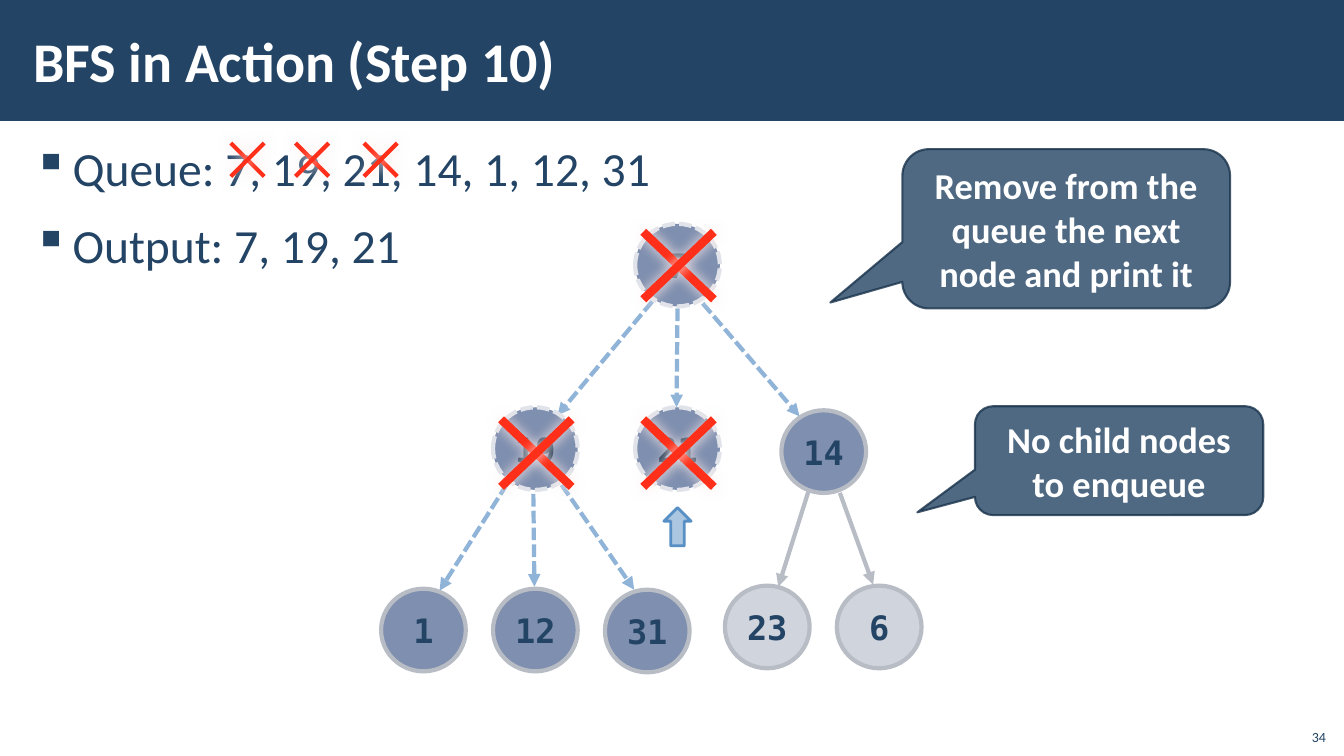
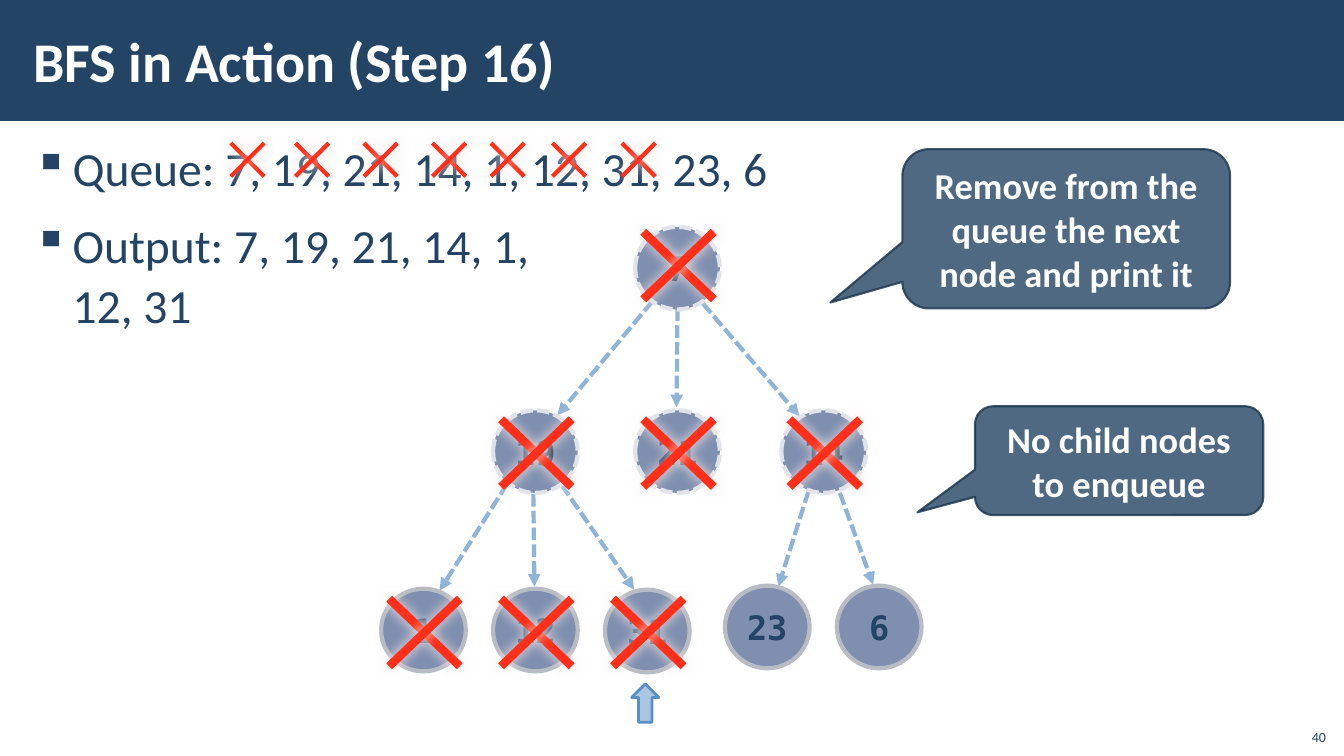
from dataclasses import dataclass
from typing import NamedTuple, Optional

import pptx
import pptx.dml.color
import pptx.enum.dml
import pptx.enum.shapes
import pptx.enum.text
import pptx.oxml.ns
import pptx.util
from lxml import etree

Inches = pptx.util.Inches
Pt = pptx.util.Pt
Shape = pptx.enum.shapes.MSO_SHAPE
Align = pptx.enum.text.PP_ALIGN
Anchor = pptx.enum.text.MSO_ANCHOR
Dash = pptx.enum.dml.MSO_LINE
qn = pptx.oxml.ns.qn

COLORS = {
    "navy": "234465", "ink": "1A334C", "white": "FFFFFF",
    "queued": "002060", "open": "A3ABBC", "visited": "7F8FAF",
    "ring": "B8BCC4", "visited_ring": "E0E3E9", "trail": "90B4D8",
    "pointer": "588FC5", "cross": "FF2F19", "halo": "FFEDEB",
}
BODY_FONT, NODE_FONT = "Calibri", "DejaVu Sans Mono"
NODE_W, NODE_H = 0.84, 0.82
NODE_CROSS = (0.7, 0.67)
QUEUE_CROSS = (0.33, 0.33)
QUEUE_CROSS_TOP = 1.42
QUEUE_CROSS_LEFTS = (2.29, 2.93, 3.61, 4.29, 4.87, 5.48, 6.17)


class Node(NamedTuple):
    label: str
    left: float
    top: float
    cross_top: float


class Edge(NamedTuple):
    parent: str
    x1: float
    y1: float
    x2: float
    y2: float


class NodeStyle(NamedTuple):
    fill: str
    alpha: Optional[int]
    ring: str
    text: str
    dash: Optional[int] = None


class Callout(NamedTuple):
    text: str
    box: tuple[float, float, float, float]
    tip: tuple[float, float]


@dataclass(frozen=True)
class Step:
    number: int
    page: str
    queued: int
    printed: int
    output: str
    pointer: tuple[float, float]
    visited_lift: float


# Tree nodes in breadth-first order
NODES = (
    Node("7", 6.3, 2.25, 2.3),
    Node("19", 4.89, 4.07, 4.16),
    Node("21", 6.3, 4.07, 4.16),
    Node("14", 7.75, 4.07, 4.16),
    Node("1", 3.78, 5.84, 5.94),
    Node("12", 4.89, 5.84, 5.94),
    Node("31", 6, 5.85, 5.94),
    Node("23", 7.19, 5.81, 5.91),
    Node("6", 8.3, 5.81, 5.91),
)
INNER_COUNT = 4
EDGES = (
    Edge("7", 6.47, 2.99, 5.53, 4.12),
    Edge("7", 6.72, 3.06, 6.71, 4.04),
    Edge("7", 6.97, 3.01, 7.93, 4.13),
    Edge("19", 5.03, 4.8, 4.36, 5.86),
    Edge("19", 5.29, 4.9, 5.3, 5.82),
    Edge("19", 5.57, 4.81, 6.29, 5.85),
    Edge("14", 8.02, 4.87, 7.72, 5.82),
    Edge("14", 8.33, 4.89, 8.66, 5.8),
)
VISITED = NodeStyle("visited", None, "visited_ring", "ink", Dash.SQUARE_DOT)
QUEUED = NodeStyle("queued", 50, "ring", "navy")
OPEN = NodeStyle("open", 50, "ring", "navy")

CALLOUTS = (
    Callout("Remove from the queue the next node and print it",
            (8.95, 1.48, 3.25, 1.58), (-0.72, 0.463)),
    Callout("No child nodes to enqueue", (9.67, 4.03, 2.86, 1.08), (-0.7, 0.475)),
)
STEPS = (
    Step(10, "34", 7, 3, "7, 19, 21", (6.53, 5.09), 0.03),
    Step(16, "40", 9, 7, "7, 19, 21, 14, 1,\n12, 31", (6.21, 6.84), 0),
)


def rgb(name: str) -> pptx.dml.color.RGBColor:
    return pptx.dml.color.RGBColor.from_string(COLORS[name])


def set_alpha(fill, percent: int) -> None:
    """Make a solid colour see-through."""
    for color in fill.iter(qn("a:srgbClr")):
        etree.SubElement(color, qn("a:alpha"), val=str(percent * 1000))


def set_font(paragraph, size: float, color: str, bold: bool = False,
             name: str = BODY_FONT) -> None:
    font = paragraph.font
    font.name, font.size, font.bold = name, Pt(size), bold
    font.color.rgb = rgb(color)


def set_insets(frame) -> None:
    frame.margin_left = frame.margin_right = Inches(0.12)
    frame.margin_top = frame.margin_bottom = Inches(0.04)


def place(shape, left: float, top: float, width: float, height: float) -> None:
    shape.left, shape.top = Inches(left), Inches(top)
    shape.width, shape.height = Inches(width), Inches(height)


def add_filled(slide, kind, box: tuple, fill: str, line: Optional[str] = None,
               line_width: float = 0, alpha: Optional[int] = None):
    shape = slide.shapes.add_shape(kind, *map(Inches, box))
    shape.shadow.inherit = False
    shape.fill.solid()
    shape.fill.fore_color.rgb = rgb(fill)
    if alpha is not None:
        set_alpha(shape.element.spPr.find(qn("a:solidFill")), alpha)
    if line is None:
        shape.line.fill.background()
    else:
        shape.line.color.rgb = rgb(line)
        shape.line.width = Pt(line_width)
    return shape


def add_label(shape, text: str, size: float, color: str, font: str = BODY_FONT) -> None:
    frame = shape.text_frame
    frame.vertical_anchor = Anchor.MIDDLE
    paragraph = frame.paragraphs[0]
    paragraph.text = text
    paragraph.alignment = Align.CENTER
    set_font(paragraph, size, color, True, font)


def add_line(slide, ends: tuple, color: str, width: float):
    """Draw a straight line; the returned effect list is empty."""
    line = slide.shapes.add_connector(
        pptx.enum.shapes.MSO_CONNECTOR.STRAIGHT, *map(Inches, ends))
    line.line.color.rgb = rgb(color)
    line.line.width = Pt(width)
    effects = etree.SubElement(line.element.spPr, qn("a:effectLst"))
    return line, effects


# Tree parts
def draw_edge(slide, edge: Edge, walked: bool) -> None:
    arrow, _ = add_line(slide, edge[1:], "trail" if walked else "ring", 3)
    if walked:
        arrow.line.dash_style = Dash.SQUARE_DOT
    etree.SubElement(arrow.element.spPr.find(qn("a:ln")), qn("a:tailEnd"), type="triangle")


def draw_node(slide, node: Node, style: NodeStyle, lift: float) -> None:
    circle = add_filled(slide, Shape.OVAL, (node.left, node.top - lift, NODE_W, NODE_H),
                        style.fill, style.ring, 3, style.alpha)
    if style.dash is not None:
        circle.line.dash_style = style.dash
    add_label(circle, node.label, 24, style.text, NODE_FONT)
    circle.text_frame.word_wrap = False


def draw_cross(slide, left: float, top: float, size: tuple[float, float],
               width: float) -> None:
    right, bottom = left + size[0], top + size[1]
    for ends in ((left, top, right, bottom), (right, top, left, bottom)):
        _, effects = add_line(slide, ends, "cross", width)
        halo = etree.SubElement(effects, qn("a:outerShdw"), blurRad=str(Pt(10)),
                                dist="0", dir="5400000", rotWithShape="0")
        etree.SubElement(halo, qn("a:srgbClr"), val=COLORS["halo"])


def draw_tree(slide, step: Step) -> None:
    visited = min(step.printed, INNER_COUNT)
    walked = {node.label for node in NODES[:visited]}
    for edge in EDGES:
        draw_edge(slide, edge, edge.parent in walked)
    for index, node in enumerate(NODES):
        if index < visited:
            draw_node(slide, node, VISITED, step.visited_lift)
        else:
            draw_node(slide, node, QUEUED if index < step.queued else OPEN, 0)
    for node in NODES[:step.printed]:
        draw_cross(slide, node.left + 0.08, node.cross_top, NODE_CROSS, 6)
    for left in QUEUE_CROSS_LEFTS[:step.printed]:
        draw_cross(slide, left, QUEUE_CROSS_TOP, QUEUE_CROSS, 3)
    pointer = add_filled(slide, Shape.RIGHT_ARROW, (*step.pointer, 0.38, 0.27),
                         "pointer", "pointer", 2, 50)
    pointer.rotation = 270


# Text parts
def draw_title(slide, text: str) -> None:
    title = slide.shapes.title
    place(title, 0.21, 0.11, 10.63, 0.97)
    frame = title.text_frame
    frame.text = text
    frame.vertical_anchor = Anchor.MIDDLE
    set_insets(frame)
    frame.paragraphs[0].alignment = Align.LEFT
    set_font(frame.paragraphs[0], 40, "white", True)


def draw_state(slide, lines: tuple[str, ...]) -> None:
    frame = slide.shapes.add_textbox(*map(Inches, (0.21, 1.31, 12.92, 6.05))).text_frame
    frame.word_wrap = True
    set_insets(frame)
    for index, text in enumerate(lines):
        paragraph = frame.add_paragraph() if index else frame.paragraphs[0]
        paragraph.text = text
        paragraph.line_spacing = 1.05
        paragraph.space_before = paragraph.space_after = Pt(6)
        set_font(paragraph, 34, "navy")
        properties = paragraph._p.get_or_add_pPr()
        properties.set("marL", str(Inches(0.39)))
        properties.set("indent", str(-Inches(0.39)))
        bullet = etree.Element(qn("a:buChar"), char="▪")
        properties.find(qn("a:defRPr")).addprevious(bullet)


def draw_page_number(slide, number: str) -> None:
    frame = slide.shapes.add_textbox(*map(Inches, (12.85, 7.12, 0.4, 0.32))).text_frame
    frame.word_wrap = True
    frame.vertical_anchor = Anchor.BOTTOM
    frame.text = number
    frame.paragraphs[0].alignment = Align.RIGHT
    set_font(frame.paragraphs[0], 10, "navy")


def draw_callout(slide, callout: Callout) -> None:
    bubble = add_filled(slide, Shape.ROUNDED_RECTANGULAR_CALLOUT, callout.box,
                        "navy", "ink", 1.5, 80)
    set_alpha(bubble.element.spPr.find(qn("a:ln")), 80)
    bubble.adjustments[0], bubble.adjustments[1] = callout.tip
    bubble.text_frame.word_wrap = True
    add_label(bubble, callout.text, 26, "white")


def draw_step(slide, step: Step) -> None:
    queue = ", ".join(node.label for node in NODES[:step.queued])
    draw_title(slide, f"BFS in Action (Step {step.number})")
    draw_page_number(slide, step.page)
    draw_state(slide, (f"Queue: {queue}", f"Output: {step.output}"))
    draw_tree(slide, step)
    for callout in CALLOUTS:
        draw_callout(slide, callout)


def main() -> None:
    deck = pptx.Presentation()
    deck.slide_width, deck.slide_height = Inches(13.33), Inches(7.5)
    layout = deck.slide_layouts.get_by_name("Title Only")
    slides = [deck.slides.add_slide(layout) for _ in STEPS]

    # The title band belongs to the shared layout
    band = add_filled(slides[0], Shape.RECTANGLE, (0, 0, 13.34, 1.2), "navy")
    layout.shapes.element.insert(2, band.element)

    for slide, step in zip(slides, STEPS):
        draw_step(slide, step)
    deck.save("out.pptx")


if __name__ == "__main__":
    main()
